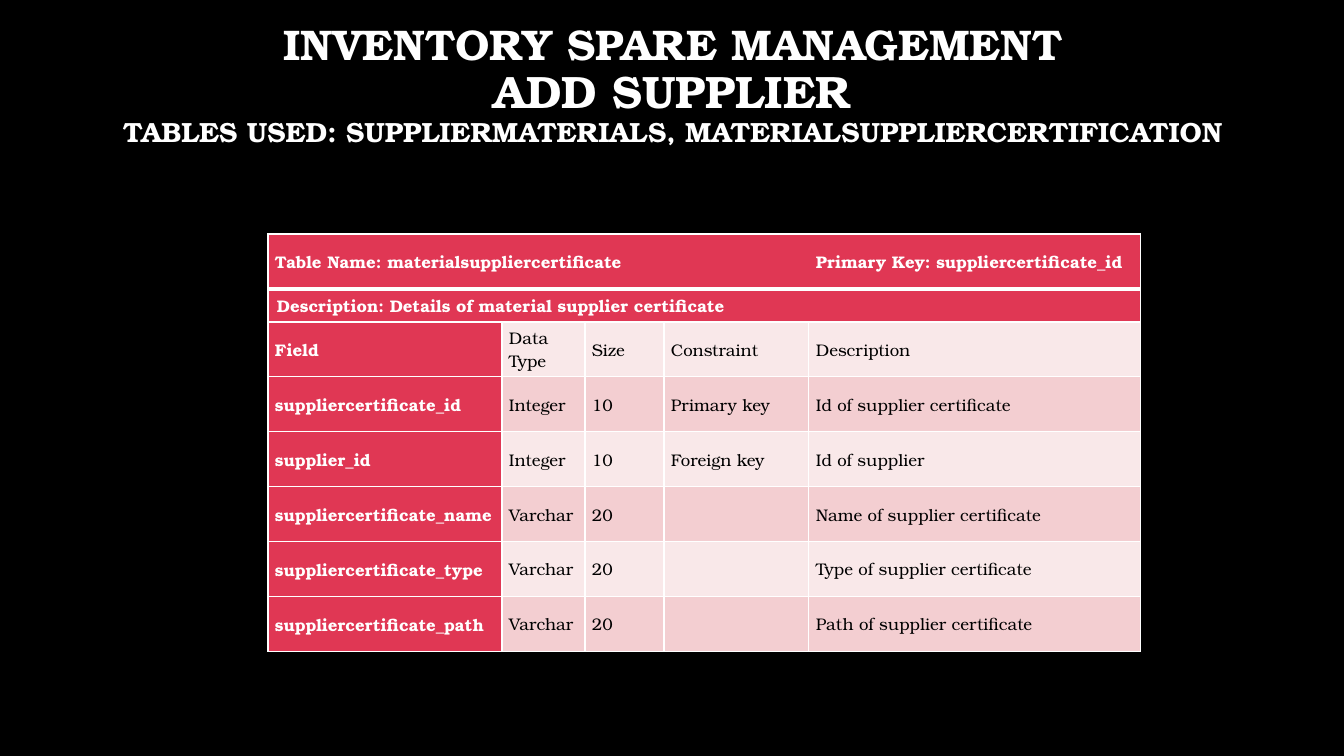
from lxml import etree
from pptx import Presentation
from pptx import util as u
from pptx.dml.color import RGBColor
from pptx.enum import text
from pptx.oxml.ns import qn

PX = 914400 / 100.8
BLACK = RGBColor(0x00, 0x00, 0x00)
WHITE = RGBColor(0xFF, 0xFF, 0xFF)
RED = RGBColor(0xE0, 0x37, 0x54)
PALE = RGBColor(0xF9, 0xE8, 0xE9)
PINK = RGBColor(0xF3, 0xCE, 0xD1)


def px(n):
    return u.Emu(round(n * PX))


def add_text(p, content, size=12, color=BLACK, bold=False, font="TeX Gyre Bonum"):
    r = p.add_run()
    r.text = content
    r.font.name, r.font.size, r.font.bold = font, u.Pt(size), bold
    r.font.color.rgb = color
    return r


prs = Presentation()
prs.slide_width, prs.slide_height = px(1344), px(756)
slide = prs.slides.add_slide(prs.slide_layouts[6])
slide.background.fill.solid()
slide.background.fill.fore_color.rgb = BLACK

# Title
tf = slide.shapes.add_textbox(px(102), px(28), px(1141), px(146)).text_frame
tf.word_wrap = True
tf.vertical_anchor = text.MSO_ANCHOR.MIDDLE
tf.margin_top, tf.margin_bottom = 0, px(30)
p = tf.paragraphs[0]
p.alignment = text.PP_ALIGN.CENTER
p.line_spacing = 0.9
title_lines = [
    ("INVENTORY SPARE MANAGEMENT", 30.6),
    ("ADD SUPPLIER", 32.4),
    ("TABLES USED: SUPPLIERMATERIALS, MATERIALSUPPLIERCERTIFICATION", 19.8),
]
for i, (line, size) in enumerate(title_lines):
    if i:
        p.add_line_break()
    add_text(p, line, size=size, color=WHITE, bold=True)

# Table grid
rows = [
    ["Table Name: materialsuppliercertificate\tPrimary Key: suppliercertificate_id"],
    ["Description: Details of material supplier certificate"],
    ["Field", "Data Type", "Size", "Constraint", "Description"],
    ["suppliercertificate_id", "Integer", "10", "Primary key", "Id of supplier certificate"],
    ["supplier_id", "Integer", "10", "Foreign key", "Id of supplier"],
    ["suppliercertificate_name", "Varchar", "20", "", "Name of supplier certificate"],
    ["suppliercertificate_type", "Varchar", "20", "", "Type of supplier certificate"],
    ["suppliercertificate_path", "Varchar", "20", "", "Path of supplier certificate"],
]
col_widths = [234, 83, 79, 145, 332]
row_heights = [55, 33] + [55] * 6
table = slide.shapes.add_table(len(rows), len(col_widths), px(268), px(234),
                               px(sum(col_widths)), px(sum(row_heights))).table
table.first_row = table.horz_banding = False
for col, width in zip(table.columns, col_widths):
    col.width = px(width)
for row, height in zip(table.rows, row_heights):
    row.height = px(height)

# Cells
for i, values in enumerate(rows):
    if len(values) == 1:
        table.cell(i, 0).merge(table.cell(i, len(col_widths) - 1))
    for j in range(len(col_widths)):
        cell = table.cell(i, j)
        tc_pr = cell._tc.get_or_add_tcPr()
        for side in "LRTB":
            heavy = (i, side) in ((0, "B"), (1, "T"))
            ln = etree.SubElement(tc_pr, qn(f"a:ln{side}"), w=str(u.Pt(3 if heavy else 1)))
            fill = etree.SubElement(ln, qn("a:solidFill"))
            etree.SubElement(fill, qn("a:srgbClr"), val=str(WHITE))
        heading = j == 0 or i < 2
        cell.fill.solid()
        cell.fill.fore_color.rgb = RED if heading else PINK if i % 2 else PALE
        cell.vertical_anchor = text.MSO_ANCHOR.MIDDLE
        cell.margin_left = cell.margin_right = px(7)
        cell.margin_top = cell.margin_bottom = 0
        if j < len(values) and values[j]:
            add_text(cell.text_frame.paragraphs[0], values[j],
                     color=WHITE if heading else BLACK, bold=heading)

# Tab stop for the primary key, small indent for the description
p_pr = table.cell(0, 0).text_frame.paragraphs[0]._p.get_or_add_pPr()
tabs = etree.SubElement(p_pr, qn("a:tabLst"))
etree.SubElement(tabs, qn("a:tab"), pos=str(px(541)), algn="l")
p_pr = table.cell(1, 0).text_frame.paragraphs[0]._p.get_or_add_pPr()
p_pr.set("indent", str(px(2)))

prs.save("out.pptx")
